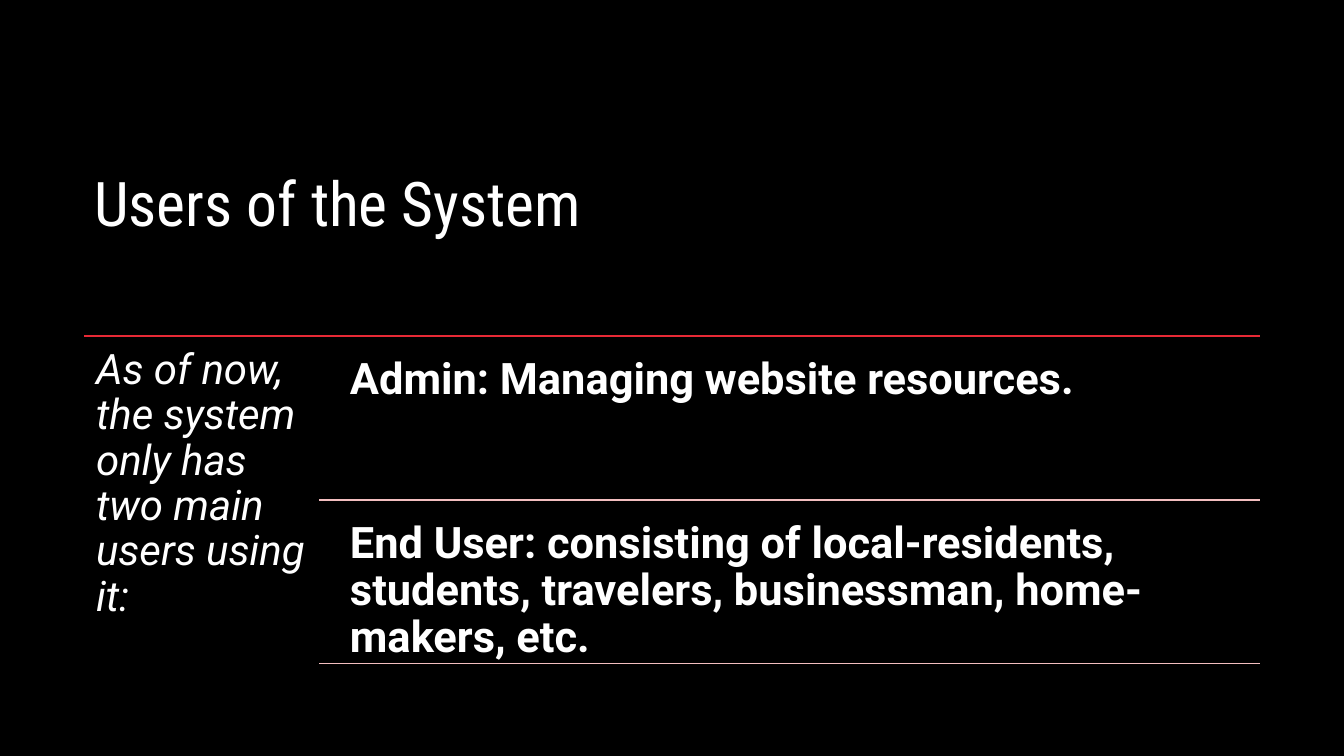
from lxml import etree
from pptx import Presentation
from pptx.dml.color import RGBColor
from pptx.enum.shapes import MSO_CONNECTOR as CONN
from pptx.enum.text import MSO_ANCHOR as ANCHOR, PP_ALIGN as ALIGN
from pptx.oxml.ns import qn
from pptx.util import Pt

WHITE, BLACK, RED, PINK = "FFFFFF", "000000", "E72935", "F3BEBF"
TITLE_FONT = dict(name="Roboto Condensed", size=Pt(44), bold=False)
INTRO_FONT = dict(name="Roboto", size=Pt(30), italic=True)
USER_FONT = dict(name="Roboto", size=Pt(31), bold=True)

INTRO = "As of now, the system only has two main users using it:"
USERS = [
    "Admin: Managing website resources.",
    "End User: consisting of local-residents, students, travelers, "
    "businessman, home-makers, etc.",
]


def color(hex_str):
    return RGBColor.from_string(hex_str)


def write(sp, text, font, inset=None):
    tf = sp.text_frame
    tf.word_wrap = True
    tf.vertical_anchor = ANCHOR.TOP
    if inset is not None:
        for side in ("left", "top", "right", "bottom"):
            setattr(tf, f"margin_{side}", Pt(inset))
    p = tf.paragraphs[0]
    p.alignment = ALIGN.LEFT
    p.line_spacing = 0.9
    r = p.add_run()
    r.text = text
    for key, value in font.items():
        setattr(r.font, key, value)
    r.font.color.rgb = color(WHITE)


def add_text(slide, box, text, font, inset):
    sp = slide.shapes.add_textbox(*map(Pt, box))
    write(sp, text, font, inset)


def add_rule(slide, left, right, y, hex_str):
    line = slide.shapes.add_connector(CONN.STRAIGHT, Pt(left), Pt(y), Pt(right), Pt(y))
    line.line.color.rgb = color(hex_str)
    line.line.width = Pt(1)
    etree.SubElement(line._element.spPr, qn("a:effectLst"))


def add_title(slide, box, text):
    sp = slide.shapes.title
    for key, value in zip(("left", "top", "width", "height"), box):
        setattr(sp, key, Pt(value))
    write(sp, text, TITLE_FONT)


def add_users(slide, box, intro, users):
    left, top, width, height = box
    right = left + width
    intro_w = width / 5
    rule_left = left + intro_w
    text_left = rule_left + 12.6
    gap = 5.9
    row_h = (height - gap) / len(users)

    # Red rule and introduction
    add_rule(slide, left, right, top, RED)
    add_text(slide, (left, top, intro_w, height), intro, INTRO_FONT, 8.6)

    # One row per user, each closed by a rule
    for i, user in enumerate(users):
        y = top + gap + i * row_h
        row = (text_left, y, right - text_left, row_h - gap)
        add_text(slide, row, user, USER_FONT, 9.4)
        add_rule(slide, rule_left, right, y + row_h - gap, PINK)


def main():
    prs = Presentation()
    prs.slide_width, prs.slide_height = Pt(960), Pt(540)
    slide = prs.slides.add_slide(prs.slide_layouts[5])

    # Background
    fill = slide.background.fill
    fill.solid()
    fill.fore_color.rgb = color(BLACK)

    add_title(slide, (60, 120, 720, 99.4), "Users of the System")
    add_users(slide, (60, 240, 840, 240), INTRO, USERS)
    prs.save("out.pptx")


if __name__ == "__main__":
    main()
